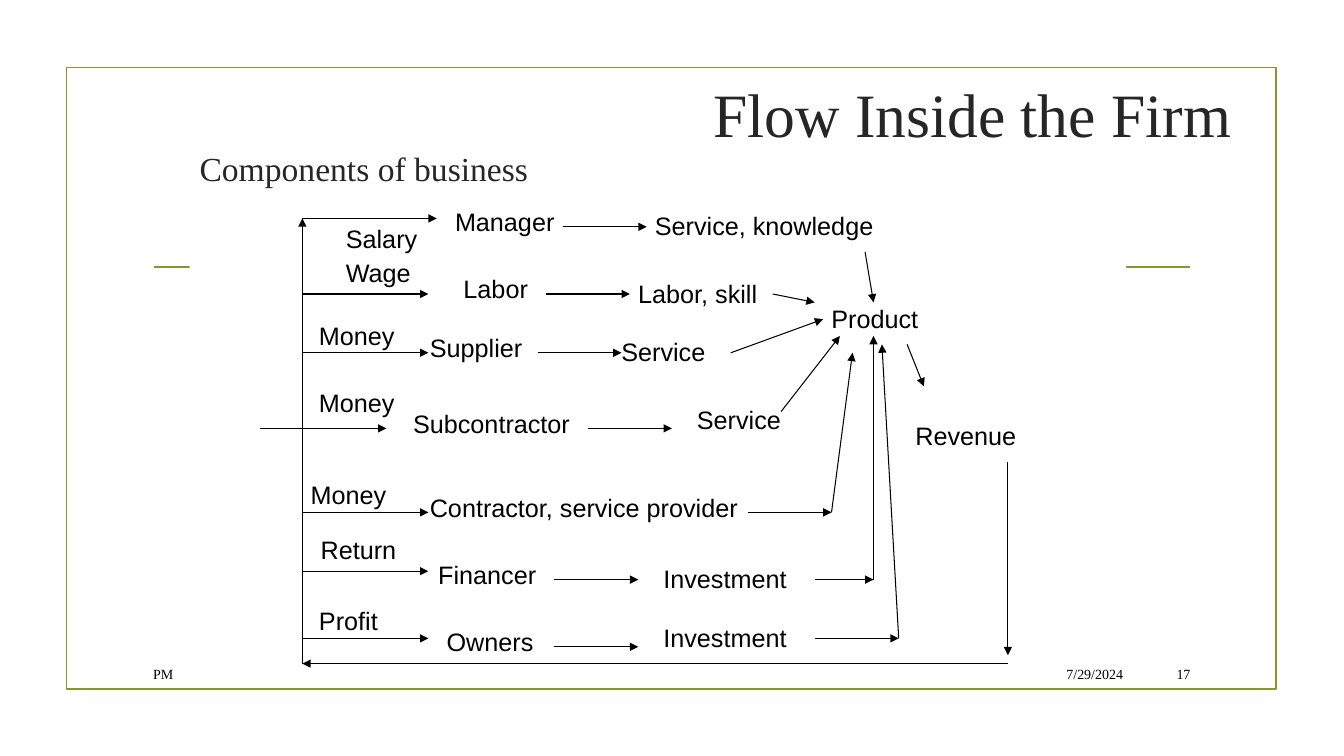
"""Build the slide on the flow of money and services inside the firm."""
from dataclasses import dataclass

from lxml.etree import SubElement
from pptx import Presentation
from pptx.dml.color import RGBColor
from pptx.enum.shapes import MSO_CONNECTOR as Conn, MSO_SHAPE as Shape
from pptx.enum.text import MSO_ANCHOR as Anchor, PP_ALIGN as Align
from pptx.oxml.ns import qn
from pptx.util import Cm, Pt

GRID = 2.54 / 12
OLIVE, INK, BLACK, WHITE = "83992A", "262626", "000000", "FFFFFF"
SERIF, SANS = "Times New Roman", "Arial"
TRUNK_X, ACTOR_X, STEP = 36, 51, 10


@dataclass(frozen=True)
class Label:
    """Diagram word, placed in grid units."""
    text: str
    x: float
    y: float
    width: float


@dataclass(frozen=True)
class Arrow:
    """Diagram arrow, placed in grid units."""
    x1: float
    y1: float
    x2: float
    y2: float


@dataclass(frozen=True)
class Caption:
    """Serif text box, placed in centimetres."""
    text: str
    x: float
    y: float
    width: float
    height: float
    size: int
    color: str
    align: Align


CAPTIONS = [
    Caption("Flow Inside the Firm", 16.94, 1.75, 15.14, 2.21, 44, INK, Align.CENTER),
    Caption("7/29/2024", 24.1, 16.59, 4.45, 0.79, 10, BLACK, Align.RIGHT),
    Caption("PM", 3.61, 16.59, 20.29, 0.79, 10, BLACK, Align.LEFT),
    Caption("17", 28.75, 16.59, 1.5, 0.79, 10, BLACK, Align.RIGHT),
]

LABELS = [
    Label("Manager", 53, 24, 15.1),
    Label("Labor", 54, 32, 10.9),
    Label("Supplier", 50, 39, 14.3),
    Label("Subcontractor", 48, 48, 22),
    Label("Contractor, service provider", 50, 58, 40.1),
    Label("Financer", 51, 66, 14.9),
    Label("Owners", 52, 74, 13.6),
    Label("Salary", 40, 26, 11.8),
    Label("Wage", 40, 30, 11),
    Label("Money", 36.8, 37.5, 12.2),
    Label("Money", 36.8, 45.5, 12.2),
    Label("Money", 35.8, 56.5, 12.2),
    Label("Return", 37, 63, 12.2),
    Label("Profit", 36.8, 71.5, 10.2),
    Label("Service, knowledge", 76.8, 24.5, 29.3),
    Label("Labor, skill", 74.8, 32.5, 16.8),
    Label("Service", 72.8, 39.5, 13.2),
    Label("Service", 81.8, 47.5, 13.2),
    Label("Investment", 77.8, 66.5, 17.9),
    Label("Investment", 77.8, 73.5, 17.9),
    Label("Product", 97.8, 35.5, 13.6),
    Label("Revenue", 107.8, 49.5, 15.2),
]

LOOP = [
    Arrow(120, 79, TRUNK_X, 79),
    Arrow(TRUNK_X, 79, TRUNK_X, 26),
    Arrow(108, 41, 110, 46),
    Arrow(120, 55, 120, 78),
]
PAYMENTS = [
    Arrow(TRUNK_X, 26, 52, 26),
    Arrow(31, 51, 46, 51),
    *(Arrow(TRUNK_X, y, ACTOR_X, y) for y in (35, 42, 61, 68, 76)),
]
SUPPLIES = [
    Arrow(x, y, x + STEP, y)
    for x, y in ((67, 27), (65, 35), (64, 42), (70, 51), (89, 61), (66, 69), (66, 77))
]
TO_PRODUCT = [
    Arrow(103, 30, 104, 36),
    Arrow(92, 35, 97, 36),
    Arrow(87, 42, 98, 38),
    Arrow(93, 49, 100, 40),
    Arrow(99, 61, 101.5, 42),
    Arrow(97, 69, 104, 69),
    Arrow(104, 69, 104, 40),
    Arrow(97, 76, 107, 76),
    Arrow(107, 76, 105, 41),
]


def rgb(color: str) -> RGBColor:
    """Turn a hex string into a colour."""
    return RGBColor.from_string(color)


def write(tf, text: str, size: int, font: str, color: str, align: Align = Align.LEFT) -> None:
    """Fill a text frame with one styled paragraph."""
    tf.text = text
    p = tf.paragraphs[0]
    p.alignment = align
    r = p.runs[0]
    r.font.size, r.font.name = Pt(size), font
    r.font.color.rgb = rgb(color)


def add_caption(s, item: Caption) -> None:
    """Draw a serif text box."""
    tf = s.shapes.add_textbox(Cm(item.x), Cm(item.y), Cm(item.width), Cm(item.height)).text_frame
    tf.word_wrap = True
    tf.vertical_anchor = Anchor.MIDDLE
    write(tf, item.text, item.size, SERIF, item.color, item.align)


def add_label(s, item: Label) -> None:
    """Draw a diagram word."""
    sp = s.shapes.add_textbox(
        Cm(item.x * GRID), Cm(item.y * GRID), Cm(item.width * GRID), Cm(1.02))
    sp.text_frame.word_wrap = False
    write(sp.text_frame, item.text, 18, SANS, BLACK)


def add_line(s, x1: float, y1: float, x2: float, y2: float, color: str, width: float):
    """Draw a straight line without shadow, in centimetres."""
    c = s.shapes.add_connector(Conn.STRAIGHT, Cm(x1), Cm(y1), Cm(x2), Cm(y2))
    c.line.color.rgb = rgb(color)
    c.line.width = Pt(width)
    SubElement(c._element.spPr, qn("a:effectLst"))
    return c


def add_arrow(s, item: Arrow) -> None:
    """Draw a diagram arrow."""
    ends = (v * GRID for v in (item.x1, item.y1, item.x2, item.y2))
    c = add_line(s, *ends, BLACK, 0.75)
    SubElement(c._element.spPr.find(qn("a:ln")), qn("a:tailEnd"), type="triangle")


def add_rect(s, x: float, y: float, width: float, height: float):
    """Draw a plain rectangle without shadow, in centimetres."""
    sp = s.shapes.add_shape(Shape.RECTANGLE, Cm(x), Cm(y), Cm(width), Cm(height))
    sp.shadow.inherit = False
    return sp


def main() -> None:
    """Build and save the slide."""
    prs = Presentation()
    prs.slide_width, prs.slide_height = Cm(33.87), Cm(19.05)
    s = prs.slides.add_slide(prs.slide_layouts[6])

    frame = add_rect(s, 1.68, 1.7, 30.48, 15.67)
    frame.fill.background()
    frame.line.color.rgb = rgb(OLIVE)
    frame.line.width = Pt(1.25)
    add_line(s, 3.89, 6.73, 30, 6.73, OLIVE, 1.25)

    panel = add_rect(s, 4.78, 3.61, 23.6, 13.41)
    panel.fill.solid()
    panel.fill.fore_color.rgb = rgb(WHITE)
    panel.line.fill.background()
    panel.text_frame.vertical_anchor = Anchor.TOP
    write(panel.text_frame, "Components of business", 24, SERIF, INK)

    for caption in CAPTIONS:
        add_caption(s, caption)
    for label in LABELS:
        add_label(s, label)
    for arrow in LOOP + PAYMENTS + SUPPLIES + TO_PRODUCT:
        add_arrow(s, arrow)
    prs.save("out.pptx")


if __name__ == "__main__":
    main()
